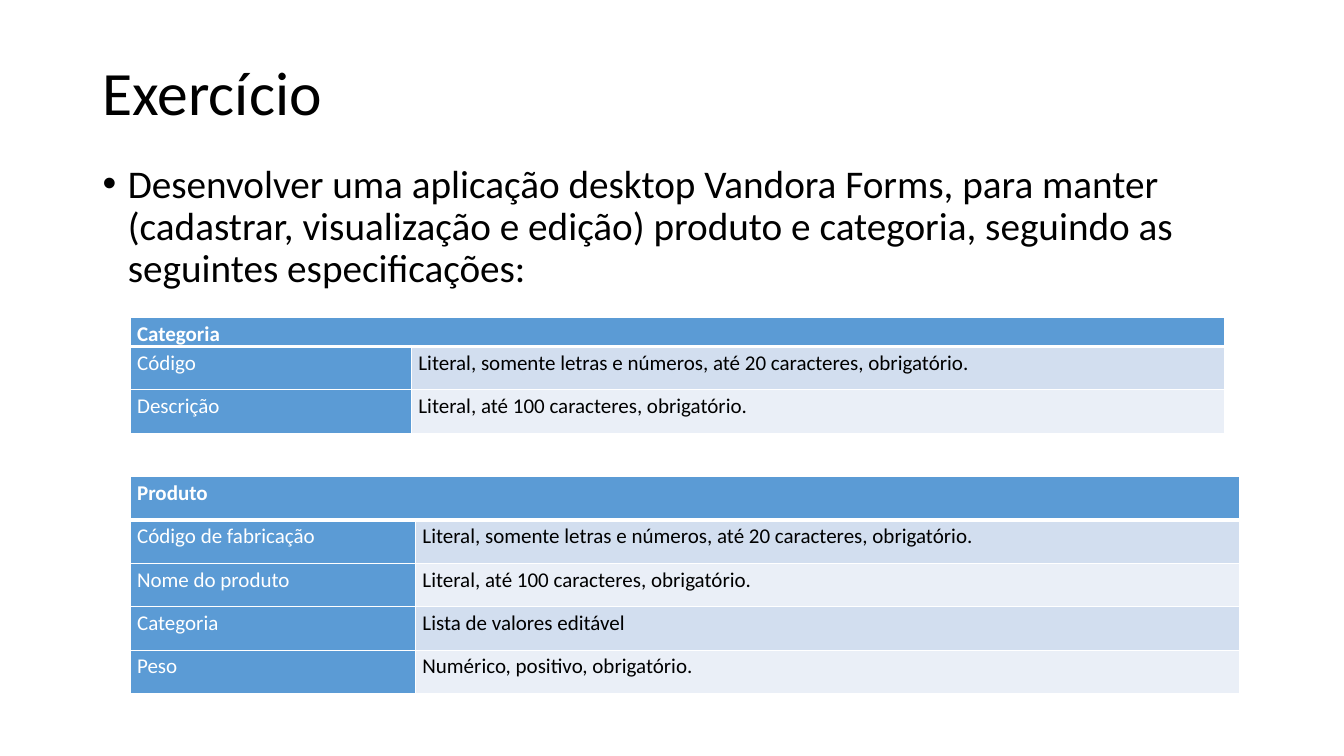
from dataclasses import dataclass

from pptx import Presentation
from pptx.dml.color import RGBColor as Rgb
from pptx.enum.text import MSO_ANCHOR as Anchor
from pptx.oxml import parse_xml as to_xml
from pptx.oxml.ns import nsdecls
from pptx.util import Inches, Pt


@dataclass(frozen=True)
class Theme:
    font: str = "Calibri"
    black: str = "000000"
    white: str = "FFFFFF"
    blue: str = "5B9BD5"
    bands: tuple[str, str] = ("D2DEEF", "EAEFF7")
    title: int = 44
    body: int = 28
    cell: int = 15


@dataclass(frozen=True)
class Grid:
    name: str
    left: float
    top: float
    cols: tuple[float, float]
    head: float
    rows: tuple[tuple[str, str], ...]


THEME = Theme()
ROW = 0.43
CODE = "Literal, somente letras e números, até 20 caracteres, obrigatório."
TEXT = "Literal, até 100 caracteres, obrigatório."
TASK = ("Desenvolver uma aplicação desktop Vandora Forms, para manter "
        "(cadastrar, visualização e edição) produto e categoria, "
        "seguindo as seguintes especificações:")

GRIDS = (
    Grid("Produto", 1.29, 4.73, (2.83, 8.17), ROW, (
        ("Código de fabricação", CODE),
        ("Nome do produto", TEXT),
        ("Categoria", "Lista de valores editável"),
        ("Peso", "Numérico, positivo, obrigatório."))),
    Grid("Categoria", 1.29, 3.15, (2.79, 8.07), 0.28, (
        ("Código", CODE),
        ("Descrição", TEXT))),
)

CELL = {"margin_left": Inches(0.07), "margin_right": Inches(0.07),
        "margin_top": 0, "margin_bottom": 0}
CELL_PAR = {"line_spacing": 1.15, "space_before": Pt(2), "space_after": Pt(2)}


def apply(item, form: dict) -> None:
    for key, value in form.items():
        setattr(item, key, value)


def write(frame, text: str, size: int, color: str, form: dict,
          bold: bool = False):
    """Fill the first paragraph of a text frame and return it."""
    par = frame.paragraphs[0]
    apply(par, form)
    run = par.add_run()
    run.text = text
    apply(run.font, {"name": THEME.font, "size": Pt(size), "bold": bold})
    run.font.color.rgb = Rgb.from_string(color)
    return par


def add_text(slide, box: tuple[float, ...], text: str, size: int,
             anchor: Anchor, form: dict):
    frame = slide.shapes.add_textbox(*map(Inches, box)).text_frame
    apply(frame, {"word_wrap": True, "vertical_anchor": anchor})
    return write(frame, text, size, THEME.black, form)


def add_bullet(par) -> None:
    props = par._p.get_or_add_pPr()
    props.set("marL", str(Inches(0.25)))
    props.set("indent", str(Inches(-0.25)))
    for tag in ('buFont {} typeface="Arial"', 'buChar {} char="•"'):
        props.append(to_xml(f"<a:{tag.format(nsdecls('a'))}/>"))


def add_edges(cell, top: int, base: int) -> None:
    props = cell._tc.get_or_add_tcPr()
    for side, width in zip("LRTB", (1, 1, top, base)):
        props.append(to_xml(
            f'<a:ln{side} {nsdecls("a")} w="{Pt(width)}"><a:solidFill>'
            f'<a:srgbClr val="{THEME.white}"/></a:solidFill></a:ln{side}>'))


def add_grid(slide, grid: Grid) -> None:
    lines = ((grid.name, ""), *grid.rows)
    high = grid.head + ROW * len(grid.rows)
    table = slide.shapes.add_table(
        len(lines), 2, *map(Inches, (grid.left, grid.top, sum(grid.cols), high))
    ).table
    apply(table, {"first_row": False, "horz_banding": False})
    for col, width in zip(table.columns, grid.cols):
        col.width = Inches(width)
    for r, line in enumerate(lines):
        table.rows[r].height = Inches(ROW if r else grid.head)
        for c, text in enumerate(line):
            cell = table.cell(r, c)
            value = r > 0 and c == 1
            apply(cell, CELL)
            # Thick rule between heading and fields
            add_edges(cell, 3 if r == 1 else 1, 1 if r else 3)
            cell.fill.solid()
            cell.fill.fore_color.rgb = Rgb.from_string(
                THEME.bands[(r - 1) % 2] if value else THEME.blue)
            if text:
                write(cell.text_frame, text, THEME.cell,
                      THEME.black if value else THEME.white, CELL_PAR, r == 0)
    table.cell(0, 0).merge(table.cell(0, 1))


def main() -> None:
    deck = Presentation()
    apply(deck, {"slide_width": Inches(13.33), "slide_height": Inches(7.5)})
    slide = deck.slides.add_slide(deck.slide_layouts[6])

    # Title and task
    add_text(slide, (0.92, 0.4, 11.5, 1.1), "Exercício", THEME.title,
             Anchor.MIDDLE, {"line_spacing": 0.9})
    task = add_text(slide, (0.92, 1.58, 11.5, 5.51), TASK, THEME.body,
                    Anchor.TOP, {"line_spacing": 0.9, "space_before": Pt(10)})
    add_bullet(task)

    # Field tables
    for grid in GRIDS:
        add_grid(slide, grid)
    deck.save("out.pptx")


if __name__ == "__main__":
    main()
